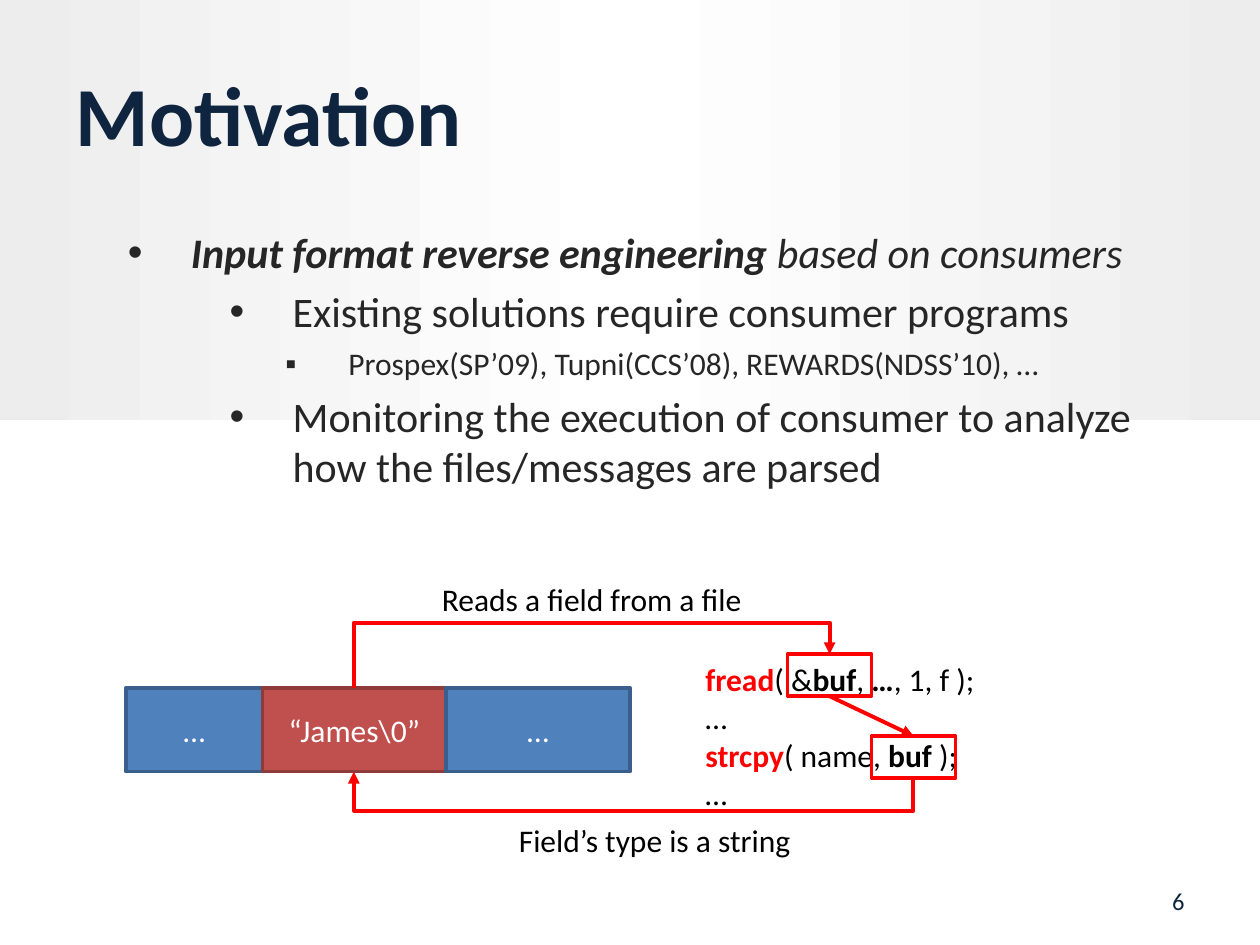
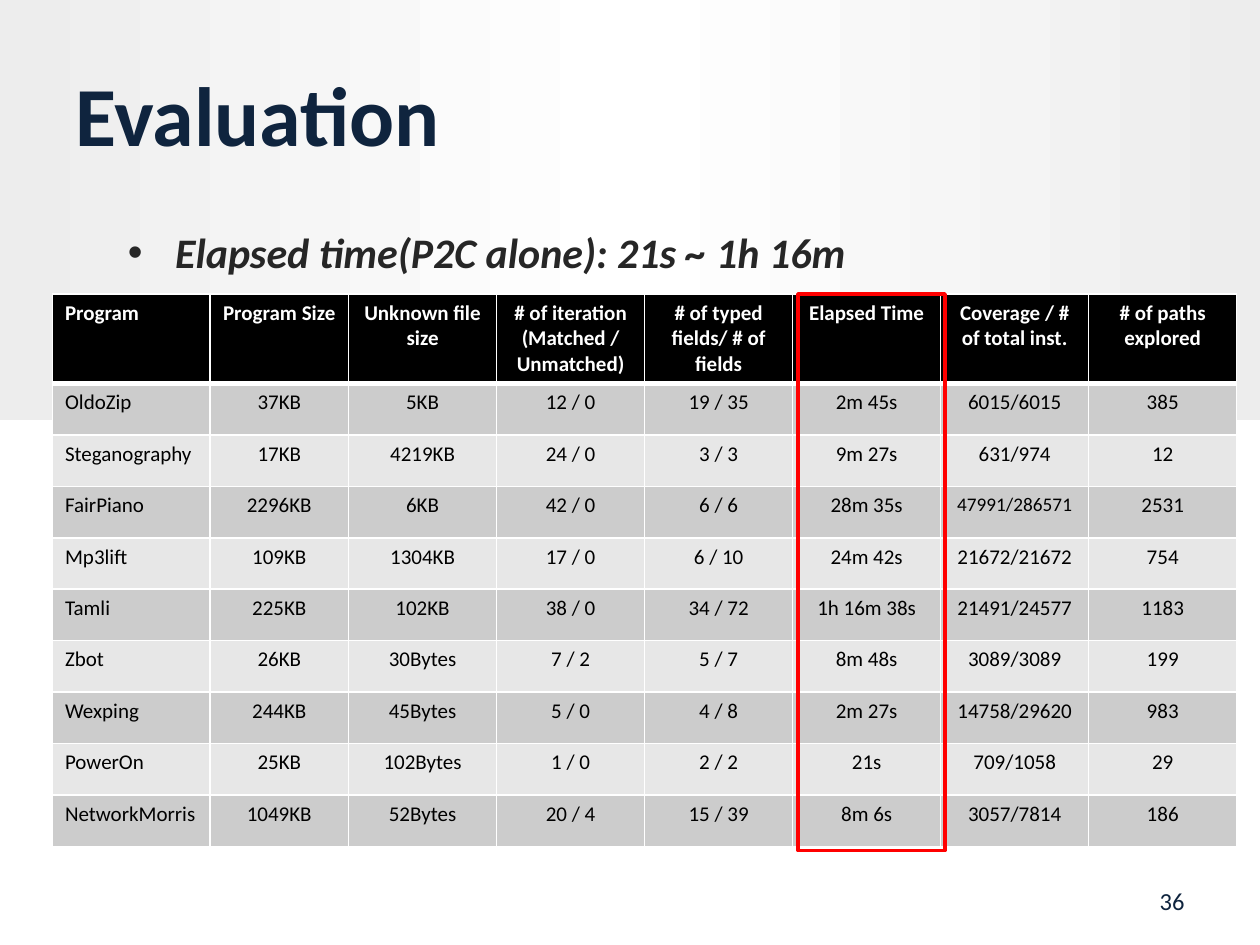
from copy import deepcopy
from dataclasses import dataclass
from typing import NamedTuple, Optional

from lxml import etree
from pptx import Presentation
from pptx import util as u
from pptx.dml import color
from pptx.enum import shapes, text
from pptx.oxml import ns

PX = 7620
FONT = "Calibri"
NAVY, INK, BLACK, WHITE, RED = "0F243E", "262626", "000000", "FFFFFF", "FF0000"
BLUE, BLUE_EDGE, BRICK, BRICK_EDGE = "4F81BD", "3A5F8C", "C0504D", "8E3B39"
MIST, GREYS = "EDEDED", ("CCCCCC", "E7E7E7")
LEFT, MID, RIGHT = text.PP_ALIGN.LEFT, text.PP_ALIGN.CENTER, text.PP_ALIGN.RIGHT
HIGH, AMID = text.MSO_ANCHOR.TOP, text.MSO_ANCHOR.MIDDLE


class Box(NamedTuple):
    x: int
    y: int
    w: int
    h: int


class Point(NamedTuple):
    x: int
    y: int


class Run(NamedTuple):
    words: str
    bold: bool = False
    tone: str = BLACK
    size: int = 18
    slant: bool = False


@dataclass
class Para:
    runs: list
    align: int = LEFT
    inset: int = 0
    hang: int = 0
    bullet: str = ""


@dataclass
class Block:
    box: Box
    fill: Optional[str] = None
    edge: Optional[str] = None
    label: str = ""


def px(size: int) -> u.Emu:
    return u.Emu(round(size * PX))


def rgb(tone: str) -> color.RGBColor:
    return color.RGBColor.from_string(tone)


def apply(item, look: dict) -> None:
    for name, value in look.items():
        setattr(item, name, value)


def child(node, tag: str, **marks):
    return etree.SubElement(node, ns.qn(tag), marks)


def write(frame, paras: list, anchor=HIGH) -> None:
    apply(frame, {"word_wrap": True, "vertical_anchor": anchor,
                  "auto_size": text.MSO_AUTO_SIZE.NONE})
    for n, para in enumerate(paras):
        line = frame.add_paragraph() if n else frame.paragraphs[0]
        line.alignment = para.align
        props = line._p.get_or_add_pPr()
        if para.inset:
            props.set("marL", str(px(para.inset)))
            props.set("indent", str(-px(para.hang)))
        if para.bullet:
            line.space_before = u.Pt(4.8)
            child(props, "a:buFont", typeface="Arial")
            child(props, "a:buChar", char=para.bullet)
        for run in para.runs:
            part = line.add_run()
            part.text = run.words
            apply(part.font, {"name": FONT, "size": u.Pt(run.size),
                              "bold": run.bold, "italic": run.slant})
            part.font.color.rgb = rgb(run.tone)


def note(slide, box: Box, paras: list, anchor=HIGH) -> None:
    write(slide.shapes.add_textbox(*map(px, box)).text_frame, paras, anchor)


def block(slide, spec_: Block):
    item = slide.shapes.add_shape(shapes.MSO_SHAPE.RECTANGLE, *map(px, spec_.box))
    item.shadow.inherit = False
    if spec_.fill:
        item.fill.solid()
        item.fill.fore_color.rgb = rgb(spec_.fill)
    else:
        item.fill.background()
    if spec_.edge:
        item.line.color.rgb = rgb(spec_.edge)
        item.line.width = u.Pt(2)
    else:
        item.line.fill.background()
    if spec_.label:
        write(item.text_frame, [Para([Run(spec_.label, tone=WHITE)], MID)], AMID)
    return item


def arrow(slide, kind, start: Point, end: Point, tip: str):
    link = slide.shapes.add_connector(kind, *map(px, start + end))
    link.line.color.rgb = rgb(RED)
    link.line.width = u.Pt(2.25)
    child(link.line._get_or_add_ln(), tip, type="triangle")
    child(link._element.spPr, "a:effectLst")
    return link


def elbow(slide, start: Point, end: Point, level: int, tip: str) -> None:
    rise, span = end.y - start.y, end.x - start.x
    wide = abs(rise)
    left = (start.x + end.x - wide) / 2
    top = (start.y + end.y - span) / 2
    link = arrow(slide, shapes.MSO_CONNECTOR.ELBOW, Point(left, top),
                 Point(left + wide, top + span), tip)
    props = link._element.spPr
    turn = {"rot": "5400000", "flipH": "1", "flipV": "1"}
    if rise > 0:
        turn = {"rot": "16200000", "flipH": "1"}
    for name, value in turn.items():
        props.find(ns.qn("a:xfrm")).set(name, value)
    bend = round((level - start.y) / rise * 100000)
    guides = props.find(ns.qn("a:prstGeom")).find(ns.qn("a:avLst"))
    child(guides, "a:gd", name="adj1", fmla=f"val {bend}")


def band(slide) -> None:
    item = block(slide, Block(Box(0, 0, 1200, 400), MIST))
    item.fill.gradient()
    item.fill.gradient_angle = 0
    stops = item._element.spPr.find(".//" + ns.qn("a:gsLst"))
    stops.append(deepcopy(stops[0]))
    for n, (stop, tone) in enumerate(zip(item.fill.gradient_stops, (MIST, WHITE, MIST))):
        stop.color.rgb = rgb(tone)
        stop.position = n / 2
    slide.slide_layout.shapes._spTree.insert(2, item._element)


def page(deck, title: str, number: int, points: list):
    slide = deck.slides.add_slide(deck.slide_layouts[5])
    head = slide.shapes.title
    apply(head, dict(zip(("left", "top", "width", "height"), map(px, (60, 36, 1080, 144)))))
    write(head.text_frame, [Para([Run(title, True, NAVY, 48)])], AMID)
    note(slide, Box(110, 210, 1030, 594), points)
    note(slide, Box(860, 834, 280, 48), [Para([Run(str(number), tone=NAVY, size=14)], RIGHT)], AMID)
    return slide


def point(words: str, inset: int, size: int = 24, bullet: str = "•") -> Para:
    return Para([Run(words, tone=INK, size=size)], inset=inset, hang=60, bullet=bullet)


def code(*runs: Run) -> Para:
    return Para(list(runs), inset=20)


def flow(slide) -> None:
    note(slide, Box(640, 623, 370, 157), [
        code(Run("fread", True, RED), Run("( &"), Run("buf", True), Run(", "),
             Run("…", True), Run(", 1, f );")),
        code(Run("…")),
        code(Run("strcpy", True, RED), Run("( name, "), Run("buf", True), Run(" );")),
        code(Run("…")),
    ])
    x, top, high = 120, 655, 80
    for wide, fill, edge, label in ((130, BLUE, BLUE_EDGE, "…"),
                                    (175, BRICK, BRICK_EDGE, "“James\\0”"),
                                    (175, BLUE, BLUE_EDGE, "…")):
        block(slide, Block(Box(x, top, wide, high), fill, edge, label))
        x += wide
    field, read, copy = 337, Box(750, 623, 80, 40), Box(830, 701, 80, 40)
    read_mid, copy_mid = read.x + 40, copy.x + 40
    elbow(slide, Point(field, top), Point(read_mid, read.y), 593, "a:tailEnd")
    elbow(slide, Point(field, top + high), Point(copy_mid, copy.y + copy.h), 772, "a:headEnd")
    for box in (read, copy):
        block(slide, Block(box, edge=RED))
    for words, x, y in (("Reads a field from a file", 317, 550),
                        ("Field’s type is a string", 377, 780)):
        note(slide, Box(x, y, 493, 40), [Para([Run(words)], MID)], AMID)
    arrow(slide, shapes.MSO_CONNECTOR.STRAIGHT, Point(read_mid, read.y + read.h),
          Point(copy_mid, copy.y), "a:tailEnd")


def border(cell, row: int) -> None:
    props = cell._tc.get_or_add_tcPr()
    for n, side in enumerate("LRTB"):
        thick = 3 if (row, side) in ((0, "B"), (1, "T")) else 1
        edge = etree.Element(ns.qn("a:ln" + side), w=str(u.Pt(thick)))
        child(child(edge, "a:solidFill"), "a:srgbClr", val=WHITE)
        props.insert(n, edge)


def grid(slide, rows: list) -> None:
    wides, highs = [150, 132] + [141] * 6, [84] + [49] * 9
    table = slide.shapes.add_table(len(rows), len(wides), px(50), px(280),
                                   px(sum(wides)), px(sum(highs))).table
    for column, wide in zip(table.columns, wides):
        column.width = px(wide)
    for r, (values, high) in enumerate(zip(rows, highs)):
        table.rows[r].height = px(high)
        for c, value in enumerate(values):
            cell = table.cell(r, c)
            cell.fill.solid()
            cell.fill.fore_color.rgb = rgb(GREYS[(r - 1) % 2] if r else BLACK)
            border(cell, r)
            size = 11 if len(value) > 11 and r and c else 12
            tone = BLACK if r else WHITE
            write_cell(cell, value, Run("", not r, tone, size), MID if c else LEFT)


def write_cell(cell, value: str, look: Run, align: int) -> None:
    lines = value.split("\n")
    for n, words in enumerate(lines):
        line = cell.text_frame.paragraphs[0] if not n else cell.text_frame.add_paragraph()
        line.alignment = align
        part = line.add_run()
        part.text = words
        apply(part.font, {"name": FONT, "size": u.Pt(look.size), "bold": look.bold})
        part.font.color.rgb = rgb(look.tone)


HEADS = ["Program", "Program Size", "Unknown file size",
         "# of iteration\n(Matched / Unmatched)", "# of typed fields/ # of fields",
         "Elapsed Time", "Coverage / # of total inst.", "# of paths explored"]
TESTS = [
    ["OldoZip", "37KB", "5KB", "12 / 0", "19 / 35", "2m 45s", "6015/6015", "385"],
    ["Steganography", "17KB", "4219KB", "24 / 0", "3 / 3", "9m 27s", "631/974", "12"],
    ["FairPiano", "2296KB", "6KB", "42 / 0", "6 / 6", "28m 35s", "47991/286571", "2531"],
    ["Mp3lift", "109KB", "1304KB", "17 / 0", "6 / 10", "24m 42s", "21672/21672", "754"],
    ["Tamli", "225KB", "102KB", "38 / 0", "34 / 72", "1h 16m 38s", "21491/24577", "1183"],
    ["Zbot", "26KB", "30Bytes", "7 / 2", "5 / 7", "8m 48s", "3089/3089", "199"],
    ["Wexping", "244KB", "45Bytes", "5 / 0", "4 / 8", "2m 27s", "14758/29620", "983"],
    ["PowerOn", "25KB", "102Bytes", "1 / 0", "2 / 2", "21s", "709/1058", "29"],
    ["NetworkMorris", "1049KB", "52Bytes", "20 / 4", "15 / 39", "8m 6s", "3057/7814", "186"],
]


def main() -> None:
    deck = Presentation()
    apply(deck, {"slide_width": px(1200), "slide_height": px(900)})
    first = page(deck, "Motivation", 6, [
        Para([Run("Input format reverse engineering ", True, INK, 24, True),
              Run("based on consumers", False, INK, 24, True)], LEFT, 60, 60, "•"),
        point("Existing solutions require consumer programs", 157),
        point("Prospex(SP’09), Tupni(CCS’08), REWARDS(NDSS’10), …", 210, 18, "▪"),
        point("Monitoring the execution of consumer to analyze how the files/messages are parsed", 157),
    ])
    band(first)
    flow(first)
    second = page(deck, "Evaluation", 36, [
        Para([Run("Elapsed time(P2C alone): 21s ~ 1h 16m", True, INK, 24, True)],
             LEFT, 45, 45, "•")])
    grid(second, [HEADS] + TESTS)
    block(second, Block(Box(760, 280, 140, 530), edge=RED))
    deck.save("out.pptx")


if __name__ == "__main__":
    main()
